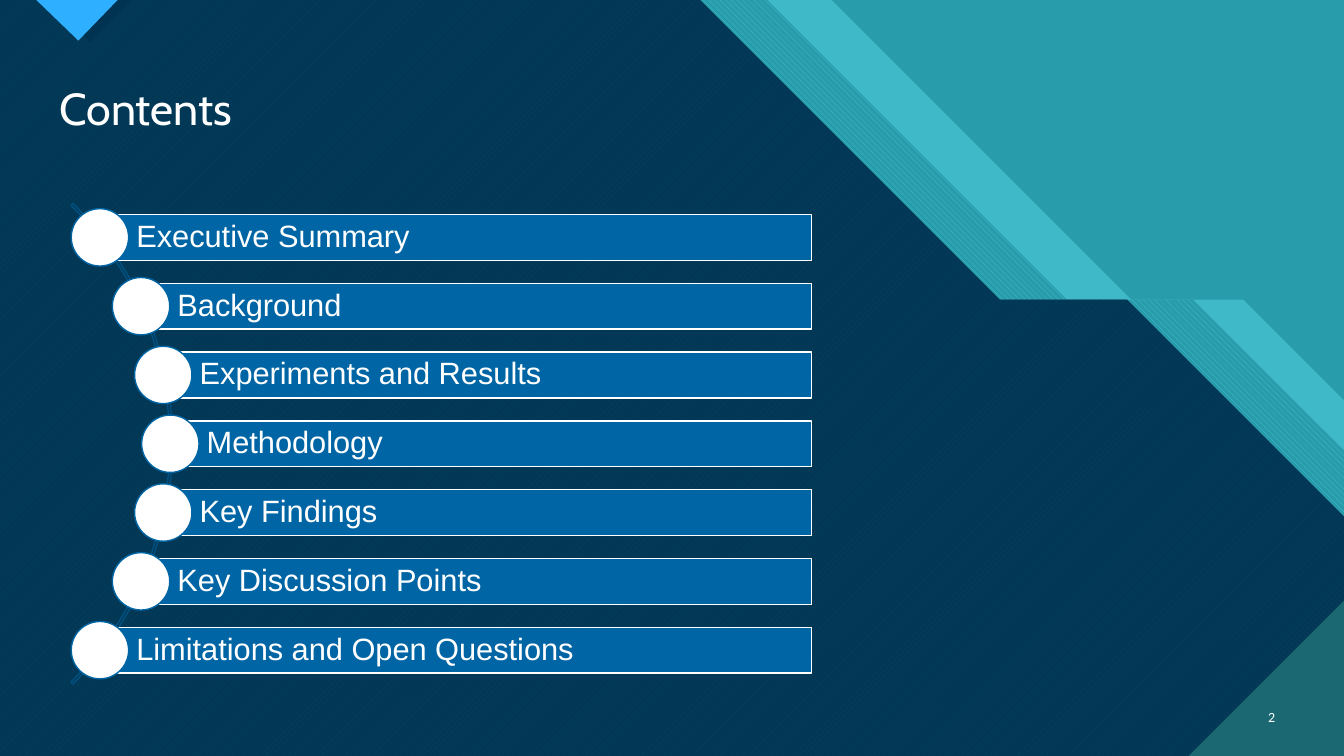
from math import sqrt

from lxml import etree
from pptx import Presentation
from pptx.dml.color import RGBColor
from pptx.enum.dml import MSO_PATTERN
from pptx.enum.shapes import MSO_SHAPE
from pptx.enum.text import MSO_ANCHOR, MSO_AUTO_SIZE, PP_ALIGN
from pptx.oxml.ns import qn
from pptx.util import Pt

RECTANGLE, OVAL, BLOCK_ARC = MSO_SHAPE.RECTANGLE, MSO_SHAPE.OVAL, MSO_SHAPE.BLOCK_ARC
DOWNWARD = MSO_PATTERN.WIDE_DOWNWARD_DIAGONAL
UPWARD = MSO_PATTERN.WIDE_UPWARD_DIAGONAL
TOP, MIDDLE = MSO_ANCHOR.TOP, MSO_ANCHOR.MIDDLE
LEFT, RIGHT = PP_ALIGN.LEFT, PP_ALIGN.RIGHT
NO_AUTOFIT = MSO_AUTO_SIZE.NONE

TITLE = "Contents"
PAGE_NUMBER = "2"
TOPICS = [
    "Executive Summary",
    "Background",
    "Experiments and Results",
    "Methodology",
    "Key Findings",
    "Key Discussion Points",
    "Limitations and Open Questions",
]
THEME = {
    "teal": "299CAB", "aqua": "47C3D3", "deep_teal": "1B6872",
    "navy": "003352", "sky": "2FAFFF", "bar": "0065A4",
    "arc": "005183", "white": "FFFFFF",
    "title": {"name": "Cabin", "size": Pt(32)},
    "topic": {"name": "Arial", "size": Pt(22)},
    "number": {"name": "Calibri", "size": Pt(10)},
}
WIDTH, HEIGHT = 960, 540
SHELF_Y = 214
BANDS = [
    {"top_x": 594, "shelf_x": 888.5, "color": "aqua", "opacity": 74},
    {"top_x": 547.5, "shelf_x": 852.5, "color": "aqua", "back": "teal", "pattern": DOWNWARD},
    {"top_x": 500.5, "shelf_x": 805, "color": "aqua", "back": "deep_teal", "pattern": UPWARD},
    {"top_x": 500.5, "shelf_x": 805, "color": "navy", "opacity": 90},
]
TRIANGLES = [
    ([(34.5, 0), (64.5, 29.5), (94.3, 0)], "navy"),
    ([(26.5, 0), (55.5, 29), (84.5, 0)], "sky"),
    ([(849, HEIGHT), (WIDTH, HEIGHT), (WIDTH, 429)], "deep_teal"),
]
ARC_X, ARC_Y, ARC_RADIUS = -119.5, 317, 242.7
DOT_RADIUS, DOT_ORBIT = 20.5, 241.2
BAR_HEIGHT, BAR_STEP, BAR_RIGHT = 32.8, 49.14, 579.6


def color(name):
    return RGBColor.from_string(THEME[name])


def paint(shape, fill=None, line=None):
    shape.shadow.inherit = False
    if fill:
        shape.fill.solid()
        shape.fill.fore_color.rgb = color(fill)
    else:
        shape.fill.background()
    if line:
        shape.line.color.rgb = color(line)
        shape.line.width = Pt(1)
    else:
        shape.line.fill.background()


def add_polygon(slide, points, fill):
    builder = slide.shapes.build_freeform(*points[0], scale=Pt(1))
    builder.add_line_segments(points[1:], close=True)
    shape = builder.convert_to_shape()
    paint(shape, fill)
    return shape


def add_band(slide, band):
    top_x, shelf_x = band["top_x"], band["shelf_x"]
    points = [
        (0, 0), (top_x, 0), (top_x + SHELF_Y, SHELF_Y), (shelf_x, SHELF_Y),
        (WIDTH, SHELF_Y + WIDTH - shelf_x), (WIDTH, HEIGHT), (0, HEIGHT),
    ]
    shape = add_polygon(slide, points, band["color"])
    if "pattern" in band:
        shape.fill.patterned()
        shape.fill.pattern = band["pattern"]
        shape.fill.fore_color.rgb = color(band["color"])
        shape.fill.back_color.rgb = color(band["back"])
    else:
        fill_color = shape.element.find(".//" + qn("a:srgbClr"))
        etree.SubElement(fill_color, qn("a:alpha"), val=str(band["opacity"] * 1000))


def add_preset(slide, kind, left, top, width, height, fill=None, line=None):
    shape = slide.shapes.add_shape(kind, Pt(left), Pt(top), Pt(width), Pt(height))
    paint(shape, fill, line)
    return shape


def write(shape, text, style, align=LEFT, anchor=MIDDLE, spacing=0.9, insets=(7.2, 3.6, 7.2, 3.6)):
    frame = shape.text_frame
    frame.text = text
    margins = zip(("margin_left", "margin_top", "margin_right", "margin_bottom"), map(Pt, insets))
    settings = {"word_wrap": True, "auto_size": NO_AUTOFIT, "vertical_anchor": anchor, **dict(margins)}
    for name, value in settings.items():
        setattr(frame, name, value)
    paragraph = frame.paragraphs[0]
    for name, value in {"alignment": align, "line_spacing": spacing, "space_before": Pt(0)}.items():
        setattr(paragraph, name, value)
    for name, value in THEME[style].items():
        setattr(paragraph.font, name, value)
    paragraph.font.color.rgb = color("white")


def add_topics(slide):
    diameter = 2 * ARC_RADIUS
    arc = add_preset(slide, BLOCK_ARC, ARC_X - ARC_RADIUS, ARC_Y - ARC_RADIUS, diameter, diameter, line="arc")
    for index, value in enumerate((189, 27, 0.004)):
        arc.adjustments[index] = value
    for index, topic in enumerate(TOPICS):
        offset = (index - (len(TOPICS) - 1) / 2) * BAR_STEP
        center_x = ARC_X + sqrt(DOT_ORBIT ** 2 - offset ** 2)
        center_y = ARC_Y + offset
        bar = add_preset(slide, RECTANGLE, center_x, center_y - BAR_HEIGHT / 2,
                         BAR_RIGHT - center_x, BAR_HEIGHT, "bar", "white")
        write(bar, topic, "topic", insets=(26, 4.4, 4.4, 4.4))
        add_preset(slide, OVAL, center_x - DOT_RADIUS, center_y - DOT_RADIUS,
                   2 * DOT_RADIUS, 2 * DOT_RADIUS, "white", "bar")


def add_title(slide):
    title = slide.shapes.title
    box = {"left": 35.3, "top": 58.3, "width": 882.7, "height": 42.5}
    for name, value in box.items():
        setattr(title, name, Pt(value))
    write(title, TITLE, "title", anchor=TOP)
    title.element.getparent().append(title.element)


def main():
    presentation = Presentation()
    presentation.slide_width, presentation.slide_height = Pt(WIDTH), Pt(HEIGHT)
    slide = presentation.slides.add_slide(presentation.slide_layouts[5])
    slide.background.fill.solid()
    slide.background.fill.fore_color.rgb = color("teal")
    for band in BANDS:
        add_band(slide, band)
    for points, fill in TRIANGLES:
        add_polygon(slide, points, fill)
    number = slide.shapes.add_textbox(Pt(886.3), Pt(497.5), Pt(31.7), Pt(28.8))
    write(number, PAGE_NUMBER, "number", align=RIGHT, spacing=1.0)
    add_topics(slide)
    add_title(slide)
    presentation.save("out.pptx")


if __name__ == "__main__":
    main()
